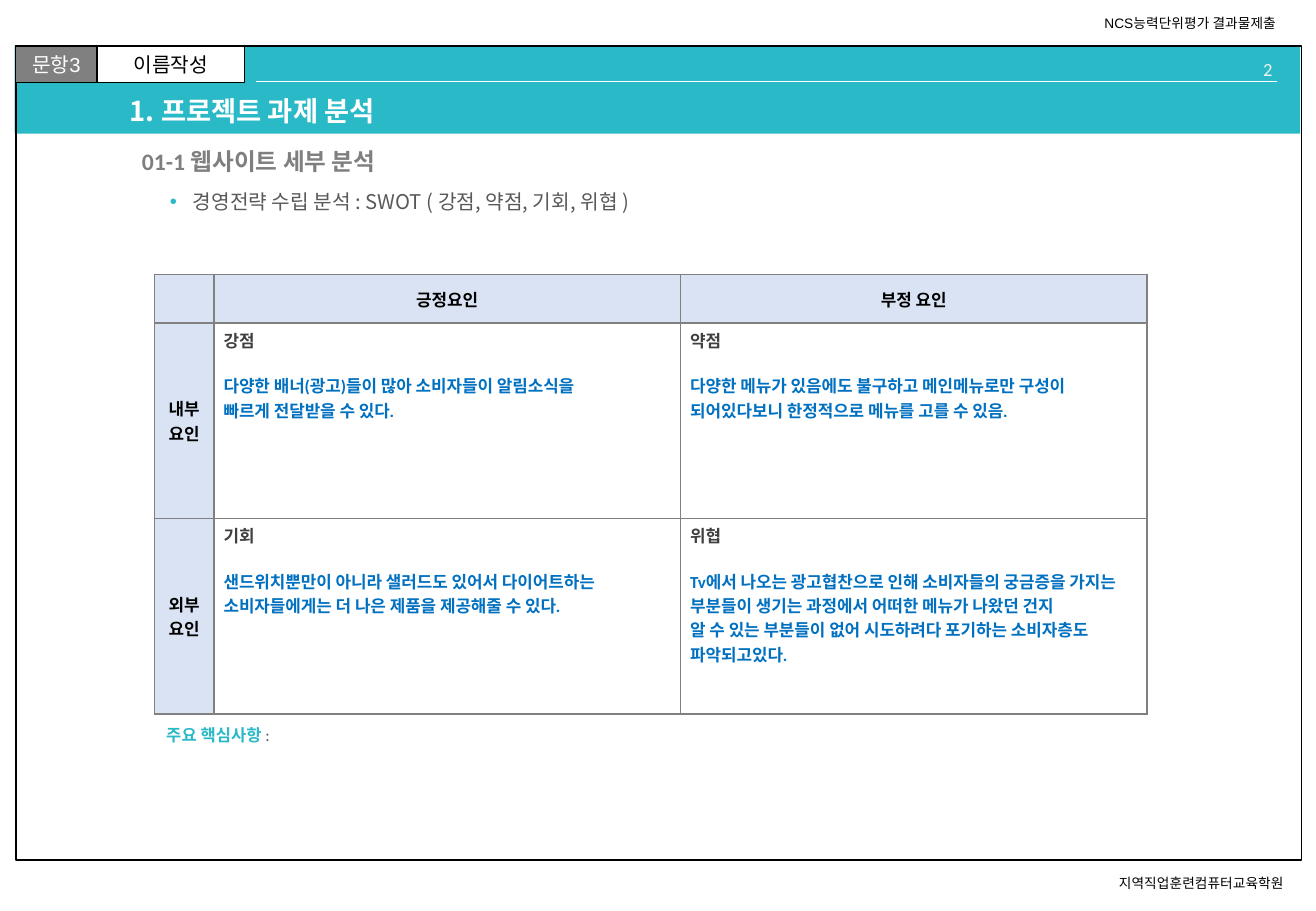
from lxml.etree import SubElement
from pptx import Presentation
from pptx.dml.color import RGBColor as Rgb
from pptx.enum.shapes import MSO_CONNECTOR as Conn, MSO_SHAPE as Kind
from pptx.enum.text import MSO_ANCHOR as Anchor, PP_ALIGN as Align
from pptx.oxml.ns import qn
from pptx.util import Inches, Pt

HUES = {
    "teal": "2AB9C7", "black": "000000", "white": "FFFFFF", "gray": "808080",
    "pale": "F2F2F2", "sub": "7F7F7F", "body": "595959", "dark": "404040",
    "blue": "0070C0", "head": "DAE3F3",
}
NOTO = "Noto Sans CJK KR"

SWOT = [
    ["", "긍정요인", "부정 요인"],
    ["내부요인",
     ["강점", "다양한 배너(광고)들이 많아 소비자들이 알림소식을", "빠르게 전달받을 수 있다."],
     ["약점", "다양한 메뉴가 있음에도 불구하고 메인메뉴로만 구성이 "
      "되어있다보니 한정적으로 메뉴를 고를 수 있음."]],
    ["외부요인",
     ["기회", "샌드위치뿐만이 아니라 샐러드도 있어서 다이어트하는 "
      "소비자들에게는 더 나은 제품을 제공해줄 수 있다."],
     ["위협", "Tv에서 나오는 광고협찬으로 인해 소비자들의 궁금증을 가지는 "
      "부분들이 생기는 과정에서 어떠한 메뉴가 나왔던 건지",
      "알 수 있는 부분들이 없어 시도하려다 포기하는 소비자층도 파악되고있다."]],
]


def hue(name):
    return Rgb.from_string(HUES[name])


def style(run, size, color, face="Calibri", bold=False):
    font = run.font
    font.size, font.bold, font.name = Pt(size), bold, face
    font.color.rgb = hue(color)
    SubElement(run._r.get_or_add_rPr(), qn("a:ea"), typeface=NOTO)


def add_rect(slide, box, fill=None, line=None, width=0.75):
    rect = slide.shapes.add_shape(Kind.RECTANGLE, *map(Inches, box))
    rect.shadow.inherit = False
    if fill:
        rect.fill.solid()
        rect.fill.fore_color.rgb = hue(fill)
    else:
        rect.fill.background()
    if line:
        rect.line.color.rgb = hue(line)
        rect.line.width = Pt(width)
    else:
        rect.line.fill.background()
    return rect


def add_tab(slide, box, text, fill, color):
    frame = add_rect(slide, box, fill, "black").text_frame
    frame.text = text
    frame.word_wrap = False
    frame.vertical_anchor = Anchor.MIDDLE
    frame.margin_top = frame.margin_bottom = 0
    para = frame.paragraphs[0]
    para.alignment = Align.CENTER
    style(para.runs[0], 12, color, "Arial")


def add_text(slide, box, text, size, color, face="Calibri", bold=False,
             wrap=True, align=Align.LEFT, anchor=Anchor.TOP):
    frame = slide.shapes.add_textbox(*map(Inches, box)).text_frame
    frame.text = text
    frame.word_wrap = wrap
    frame.vertical_anchor = anchor
    para = frame.paragraphs[0]
    para.alignment = align
    style(para.runs[0], size, color, face, bold)
    return para


def add_bullet(para, color):
    props = para._p.get_or_add_pPr()
    props.set("marL", str(Inches(0.19)))
    props.set("indent", str(-Inches(0.19)))
    tint = SubElement(props, qn("a:buClr"))
    SubElement(tint, qn("a:srgbClr"), val=HUES[color])
    SubElement(props, qn("a:buFont"), typeface="Arial")
    SubElement(props, qn("a:buChar"), char="•")


def add_rule(slide, left, right, top):
    rule = slide.shapes.add_connector(
        Conn.STRAIGHT, Inches(left), Inches(top), Inches(right), Inches(top))
    rule.line.color.rgb = hue("white")
    rule.line.width = Pt(0.5)
    SubElement(rule._element.spPr, qn("a:effectLst"))


def add_edges(cell):
    props = cell._tc.get_or_add_tcPr()
    for side in ("lnL", "lnR", "lnT", "lnB"):
        edge = SubElement(props, qn("a:" + side), w=str(Pt(1)))
        fill = SubElement(edge, qn("a:solidFill"))
        SubElement(fill, qn("a:srgbClr"), val=HUES["gray"])


def fill_label(cell, text):
    cell.fill.solid()
    cell.fill.fore_color.rgb = hue("head")
    cell.vertical_anchor = Anchor.MIDDLE
    cell.text = text
    para = cell.text_frame.paragraphs[0]
    para.alignment = Align.CENTER
    for run in para.runs:
        style(run, 10, "black", bold=True)


def fill_notes(cell, lines):
    cell.fill.background()
    cell.text = "\n".join(lines)
    paras = cell.text_frame.paragraphs
    for i, para in enumerate(paras):
        style(para.runs[0], 10, "blue" if i else "dark", bold=True)
    paras[1].space_before = Pt(12.5)


def add_swot(slide, box, widths, heights):
    table = slide.shapes.add_table(
        len(heights), len(widths), *map(Inches, box)).table
    for col, width in zip(table.columns, widths):
        col.width = Inches(width)
    for row, height in zip(table.rows, heights):
        row.height = Inches(height)
    for r, line in enumerate(SWOT):
        for c, content in enumerate(line):
            cell = table.cell(r, c)
            cell.margin_left = cell.margin_right = Inches(0.08)
            cell.margin_top = cell.margin_bottom = Inches(0.04)
            add_edges(cell)
            if r and c:
                fill_notes(cell, content)
            else:
                fill_label(cell, content)


def main():
    deck = Presentation()
    deck.slide_width, deck.slide_height = Inches(10.83), Inches(7.5)
    slide = deck.slides.add_slide(deck.slide_layouts[6])

    # Page frame
    add_rect(slide, (0.12, 0.38, 10.58, 0.72), "teal")
    add_rect(slide, (0.13, 0.38, 10.58, 6.7), line="black", width=1)
    add_text(slide, (9.11, 7.15, 1.68, 0.24), "지역직업훈련컴퓨터교육학원",
             8.1, "black", "Arial", wrap=False)
    add_text(slide, (8.99, 0.07, 1.72, 0.24), "NCS능력단위평가 결과물제출",
             8.1, "black", "Arial", wrap=False)

    # Header band
    add_tab(slide, (0.13, 0.38, 0.67, 0.3), "문항3", "gray", "white")
    add_tab(slide, (0.8, 0.38, 1.21, 0.3), "이름작성", "white", "black")
    add_text(slide, (9.39, 0.43, 1.18, 0.2), "2", 11, "pale", align=Align.RIGHT)
    add_rule(slide, 2.11, 10.51, 0.67)

    # Headings
    title = add_text(slide, (0.97, 0.76, 8.76, 0.34), "1. 프로젝트 과제 분석",
                     16.2, "white", NOTO, True, anchor=Anchor.MIDDLE)
    topic = add_text(slide, (1.07, 1.17, 8.66, 0.34), "01-1 웹사이트 세부 분석",
                     14, "sub", bold=True, anchor=Anchor.MIDDLE)
    title.line_spacing = topic.line_spacing = 0.9
    point = add_text(slide, (1.3, 1.51, 8.43, 0.34),
                     "경영전략 수립 분석 : SWOT ( 강점, 약점, 기회, 위협 )",
                     12, "body", NOTO)
    add_bullet(point, "teal")

    # SWOT table and key point
    add_swot(slide, (1.27, 2.26, 8.17, 3.62), (0.49, 3.84, 3.84), (0.4, 1.61, 1.61))
    key = add_text(slide, (1.27, 5.92, 8.17, 0.27), "주요 핵심사항 ",
                   9.8, "teal", bold=True)
    colon = key.add_run()
    colon.text = ":"
    style(colon, 9.8, "body")

    deck.save("out.pptx")


if __name__ == "__main__":
    main()
